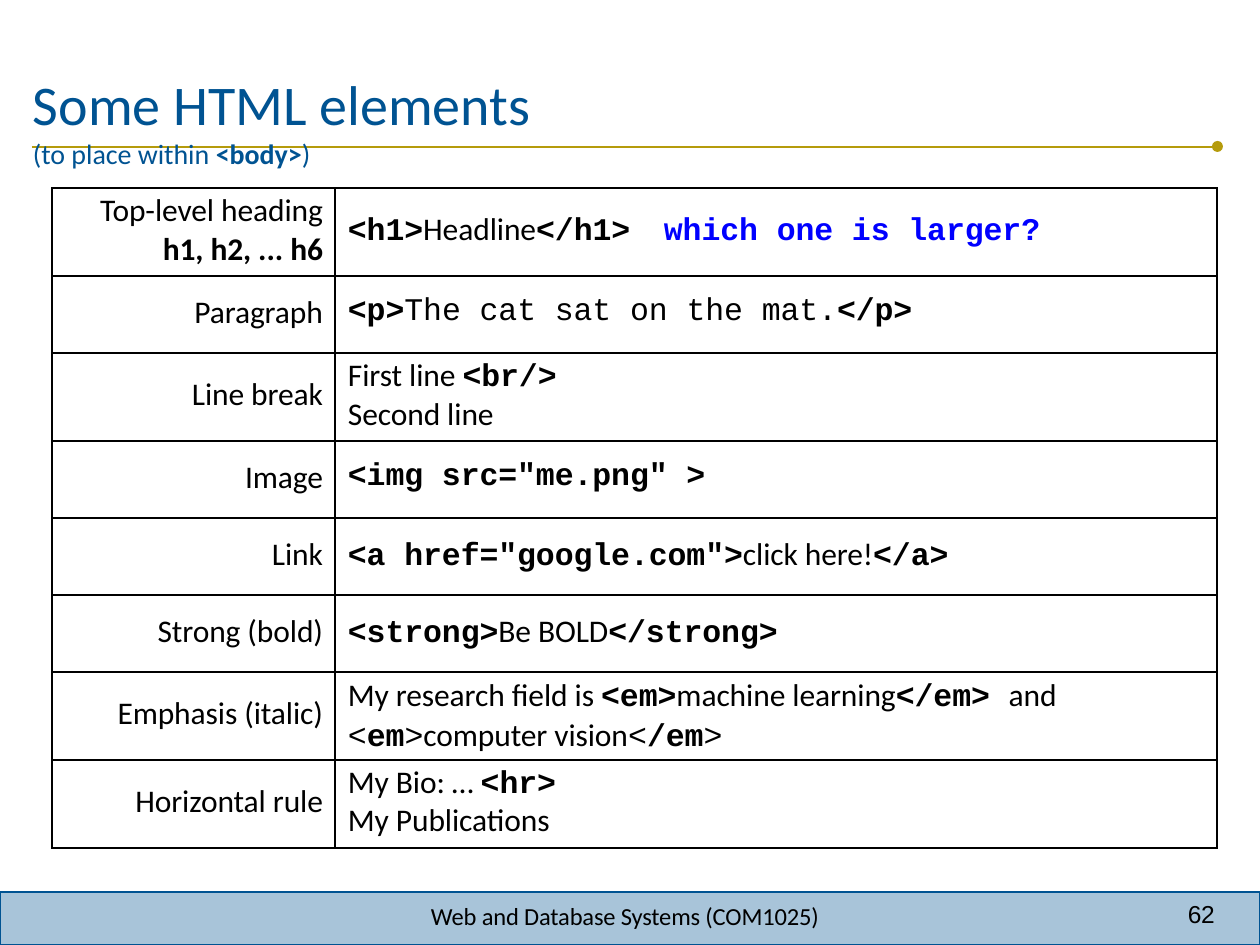
from lxml import etree
from pptx import Presentation
from pptx.dml.color import RGBColor
from pptx.enum.shapes import MSO_CONNECTOR, MSO_SHAPE
from pptx.enum.text import PP_ALIGN
from pptx.oxml.ns import qn
from pptx.util import Pt

PX = 914400 // 126
RIGHT = PP_ALIGN.RIGHT
COLORS = {"blue": "005392", "gold": "B59B0C", "black": "000000", "question": "0000FF"}
STYLES = {
    "plain": {},
    "bold": {"bold": True},
    "code": {"font": "Courier New", "bold": True},
    "mono": {"font": "Courier New"},
    "question": {"font": "Courier New", "bold": True, "color": "question"},
}


def rgb(name):
    return RGBColor.from_string(COLORS[name])


def write(paragraph, text, font="Calibri", size=18, color="black", bold=False, spacing=0):
    run = paragraph.add_run()
    run.text = text
    run.font.name = font
    run.font.size = Pt(size)
    run.font.bold = bold
    run.font.color.rgb = rgb(color)
    if spacing:
        run.font._element.set("spc", str(spacing))


prs = Presentation()
prs.slide_width, prs.slide_height = 1260 * PX, 945 * PX
slide = prs.slides.add_slide(prs.slide_layouts[6])
shapes = slide.shapes

footer_bar = shapes.add_shape(MSO_SHAPE.RECTANGLE, 0, 892 * PX, 1260 * PX, 53 * PX)
footer_bar.shadow.inherit = False
footer_bar.fill.solid()
footer_bar.fill.fore_color.rgb = rgb("blue")
tint = footer_bar._element.spPr.find(qn("a:solidFill"))[0]
etree.SubElement(tint, qn("a:alpha"), val="34000")
footer_bar.line.color.rgb = rgb("blue")
footer_bar.line.width = Pt(1.5)

title_rule = shapes.add_connector(MSO_CONNECTOR.STRAIGHT, 32 * PX, 147 * PX, 1213 * PX, 147 * PX)
title_rule.line.color.rgb = rgb("gold")
title_rule.line.width = Pt(1)
etree.SubElement(title_rule._element.spPr, qn("a:effectLst"))

rule_end = shapes.add_shape(MSO_SHAPE.OVAL, 1212 * PX, 141 * PX, 11 * PX, 11 * PX)
rule_end.shadow.inherit = False
rule_end.fill.solid()
rule_end.fill.fore_color.rgb = rgb("gold")
rule_end.line.fill.background()

captions = [
    (33, 64, 963, 79, 5, [
        [("Some HTML elements", {"size": 32, "color": "blue"})],
        [("(to place within ", {"size": 16, "color": "blue"}),
         ("<body>", {"size": 16, "color": "blue", "bold": True}),
         (")", {"size": 16, "color": "blue"})],
    ]),
    (431, 901, 400, 28, 0, [
        [("Web and Database Systems (COM1025)", {"size": 14, "spacing": -10})],
    ]),
    (1188, 899, 40, 31, 0, [[("62", {"size": 14, "font": "Arial", "spacing": -20})]]),
]
for left, top, width, height, inset, lines in captions:
    frame = shapes.add_textbox(left * PX, top * PX, width * PX, height * PX).text_frame
    frame.word_wrap = True
    frame.margin_left = frame.margin_right = frame.margin_bottom = 0
    frame.margin_top = inset * PX
    for number, line in enumerate(lines):
        paragraph = frame.add_paragraph() if number else frame.paragraphs[0]
        for text, style in line:
            write(paragraph, text, **style)

elements = [
    (88, 4, [[("Top-level heading", "plain")], [("h1, h2, ... h6", "bold")]],
     23, [[("<h1>", "code"), ("Headline", "plain"), ("</h1>\t", "code"),
           ("which one is larger?", "question")]]),
    (77, 18, [[("Paragraph", "plain")]],
     18, [[("<p>", "code"), ("The cat sat on the mat.", "mono"), ("</p>", "code")]]),
    (88, 23, [[("Line break", "plain")]],
     5, [[("First line ", "plain"), ("<br/>", "code")], [("Second line", "plain")]]),
    (77, 18, [[("Image", "plain")]],
     18, [[('<img src="me.png" >', "code")]]),
    (77, 18, [[("Link", "plain")]],
     18, [[('<a href="google.com">', "code"), ("click here!", "plain"), ("</a>", "code")]]),
    (77, 18, [[("Strong (bold)", "plain")]],
     18, [[("<strong>", "code"), ("Be BOLD", "plain"), ("</strong>", "code")]]),
    (88, 23, [[("Emphasis (italic)", "plain")]],
     5, [[("My research field is ", "plain"), ("<em>", "code"), ("machine learning", "plain"),
          ("</em> ", "code"), ("and", "plain")],
         [("<", "mono"), ("em", "code"), (">", "mono"), ("computer vision", "plain"),
          ("<", "mono"), ("/em", "code"), (">", "mono")]]),
    (88, 23, [[("Horizontal rule", "plain")]],
     5, [[("My Bio: … ", "plain"), ("<hr>", "code")], [("My Publications", "plain")]]),
]
table = shapes.add_table(len(elements), 2, 52 * PX, 188 * PX, 1165 * PX, 660 * PX).table
table.first_row = table.horz_banding = False
table.columns[0].width, table.columns[1].width = 283 * PX, 882 * PX

for row, (height, label_inset, label, example_inset, example) in enumerate(elements):
    table.rows[row].height = height * PX
    for column, (inset, lines) in enumerate([(label_inset, label), (example_inset, example)]):
        cell = table.cell(row, column)
        cell.margin_left, cell.margin_right = 13 * column * PX, 12 * (1 - column) * PX
        cell.margin_top, cell.margin_bottom = inset * PX, 0
        for number, line in enumerate(lines):
            frame = cell.text_frame
            paragraph = frame.add_paragraph() if number else frame.paragraphs[0]
            if column == 0:
                paragraph.alignment = RIGHT
            elif row in (2, 7):
                paragraph.line_spacing = Pt(21.6)
            if any("\t" in text for text, style in line):
                tabs = etree.SubElement(paragraph._p.get_or_add_pPr(), qn("a:tabLst"))
                etree.SubElement(tabs, qn("a:tab"), pos=str(316 * PX), algn="l")
            for text, style in line:
                write(paragraph, text, spacing=-5, **STYLES[style])
        properties = cell._tc.get_or_add_tcPr()
        for side in ("lnL", "lnR", "lnT", "lnB"):
            border = etree.SubElement(properties, qn(f"a:{side}"), w=str(Pt(1)))
            ink = etree.SubElement(border, qn("a:solidFill"))
            etree.SubElement(ink, qn("a:srgbClr"), val=COLORS["black"])
        cell.fill.background()

prs.save("out.pptx")
